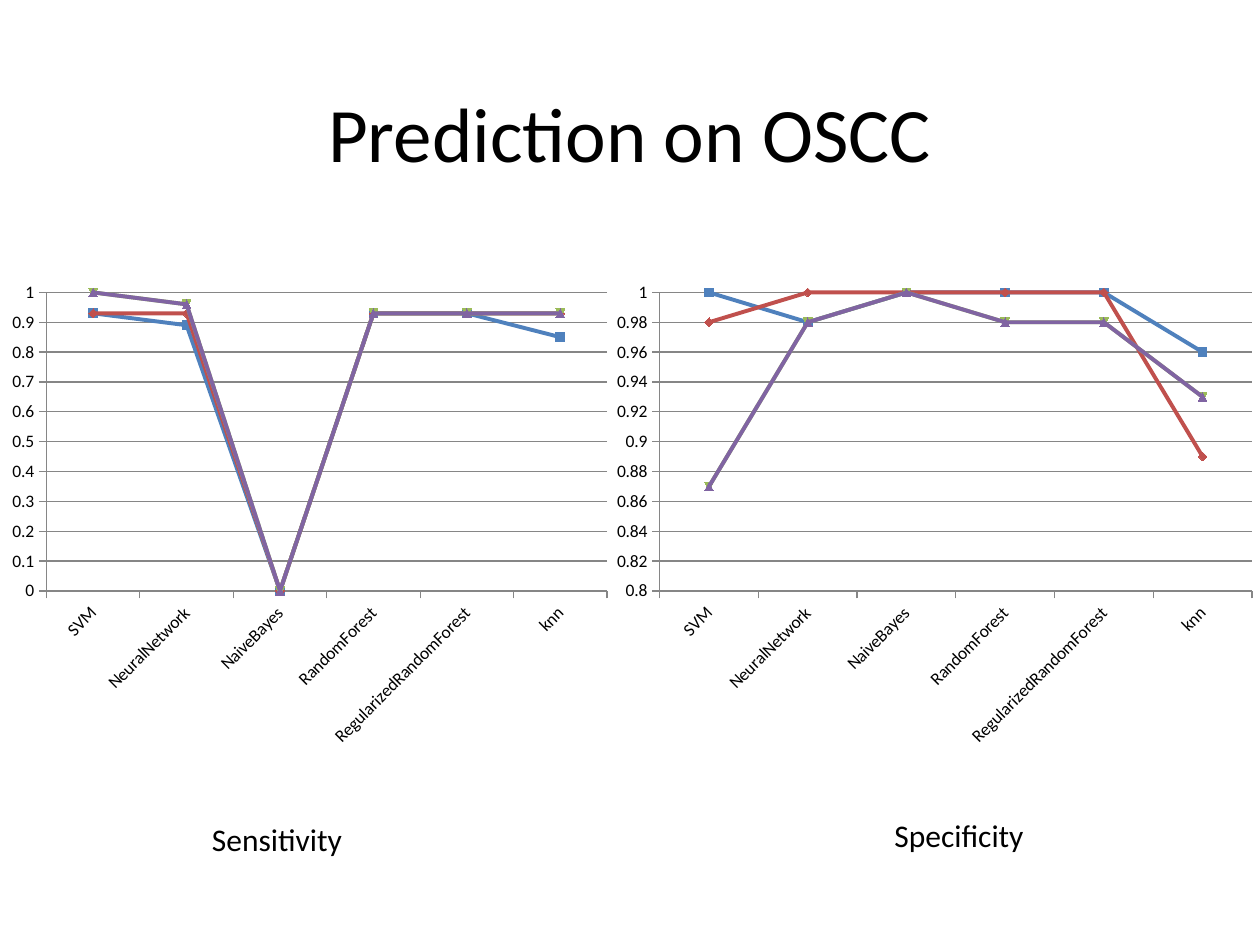
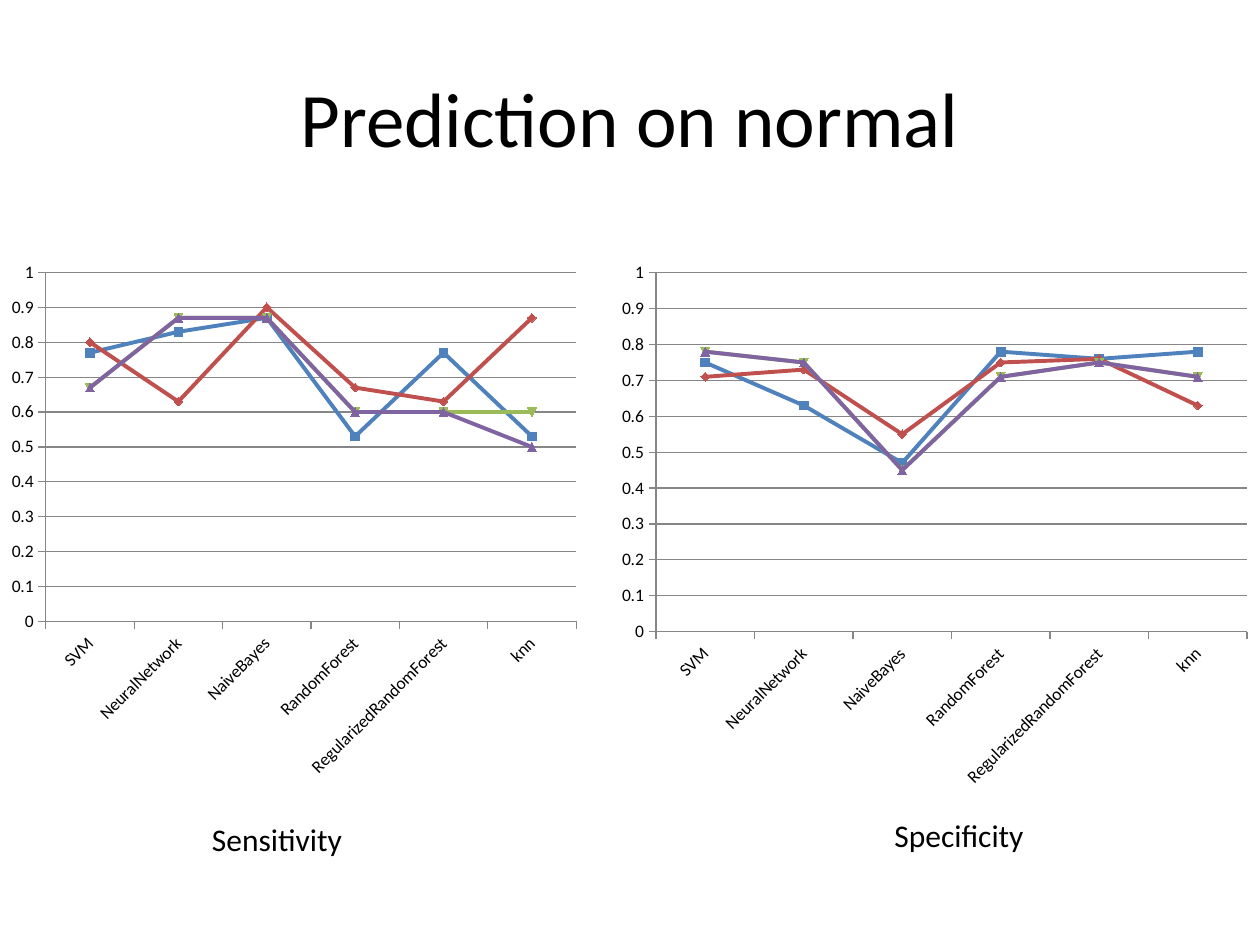
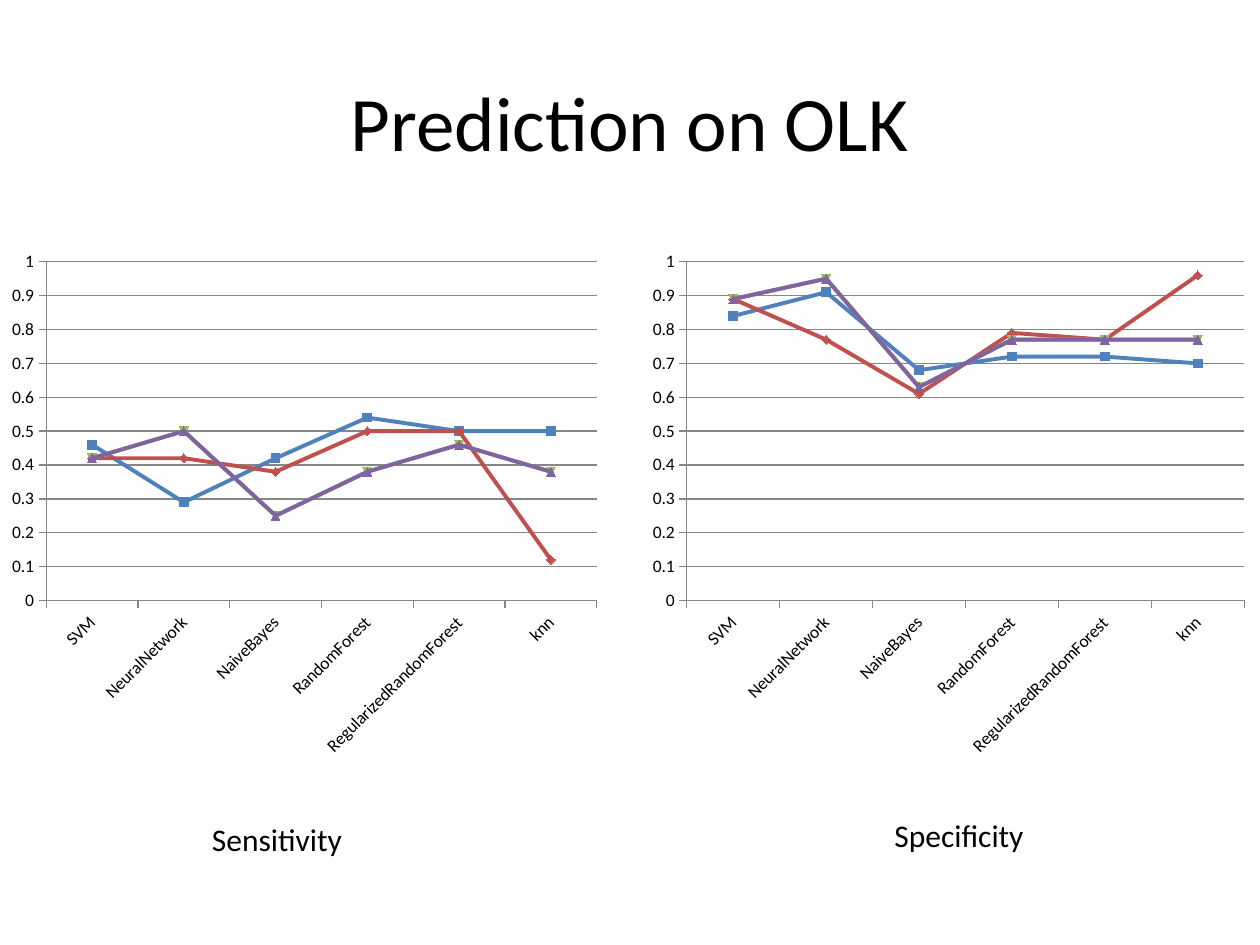
from pptx import Presentation
from pptx.chart.data import CategoryChartData
from pptx.dml.color import RGBColor
from pptx.enum.chart import XL_CHART_TYPE, XL_TICK_MARK
from pptx.enum.text import MSO_ANCHOR, MSO_AUTO_SIZE, PP_ALIGN
from pptx.util import Pt

# Shared style
FACE = "Calibri"
INK = "000000"
GRID = "868686"
HUES = ["4F81BD", "C0504D", "9BBB59", "8064A2"]
MODELS = ["SVM", "NeuralNetwork", "NaiveBayes", "RandomForest",
          "RegularizedRandomForest", "knn"]
LABELS = [("Sensitivity", (114, 465, 90, 29)),
          ("Specificity", (504, 463, 90, 29))]

# Per slide: title, title top, then (box, axis floor, axis step, rows) per chart
SLIDES = [
    ("Prediction on OSCC", 30, [
        ((0, 156, 354, 276), 0, 0.1, [
            [0.93, 0.89, 0, 0.93, 0.93, 0.85],
            [0.93, 0.93, 0, 0.93, 0.93, 0.93],
            [1, 0.96, 0, 0.93, 0.93, 0.93],
            [1, 0.96, 0, 0.93, 0.93, 0.93]]),
        ((345, 156, 378, 276), 0.8, 0.02, [
            [1, 0.98, 1, 1, 1, 0.96],
            [0.98, 1, 1, 1, 1, 0.89],
            [0.87, 0.98, 1, 0.98, 0.98, 0.93],
            [0.87, 0.98, 1, 0.98, 0.98, 0.93]])]),
    ("Prediction on normal", 21.5, [
        ((0, 144, 336, 306), 0, 0.1, [
            [0.77, 0.83, 0.87, 0.53, 0.77, 0.53],
            [0.8, 0.63, 0.9, 0.67, 0.63, 0.87],
            [0.67, 0.87, 0.87, 0.6, 0.6, 0.6],
            [0.67, 0.87, 0.87, 0.6, 0.6, 0.5]]),
        ((348, 144, 372, 312), 0, 0.1, [
            [0.75, 0.63, 0.47, 0.78, 0.76, 0.78],
            [0.71, 0.73, 0.55, 0.75, 0.76, 0.63],
            [0.78, 0.75, 0.45, 0.71, 0.75, 0.71],
            [0.78, 0.75, 0.45, 0.71, 0.75, 0.71]])]),
    ("Prediction on OLK", 24, [
        ((0, 138, 348, 300), 0, 0.1, [
            [0.46, 0.29, 0.42, 0.54, 0.5, 0.5],
            [0.42, 0.42, 0.38, 0.5, 0.5, 0.12],
            [0.42, 0.5, 0.25, 0.38, 0.46, 0.38],
            [0.42, 0.5, 0.25, 0.38, 0.46, 0.38]]),
        ((366, 138, 352, 300), 0, 0.1, [
            [0.84, 0.91, 0.68, 0.72, 0.72, 0.7],
            [0.89, 0.77, 0.61, 0.79, 0.77, 0.96],
            [0.89, 0.95, 0.63, 0.77, 0.77, 0.77],
            [0.89, 0.95, 0.63, 0.77, 0.77, 0.77]])]),
]


def color(code):
    return RGBColor.from_string(code)


def style(font, size):
    font.name, font.size = FACE, Pt(size)
    font.color.rgb = color(INK)


def write(frame, text, size=18, align=PP_ALIGN.LEFT, anchor=MSO_ANCHOR.TOP,
          wrap=True, fit=MSO_AUTO_SIZE.NONE):
    frame.word_wrap, frame.auto_size = wrap, fit
    frame.vertical_anchor = anchor
    para = frame.paragraphs[0]
    para.alignment = align
    run = para.add_run()
    run.text = text
    style(run.font, size)


def add_title(slide, text, top):
    title = slide.shapes.title
    title.left, title.top, title.width, title.height = map(
        Pt, (36, top, 648, 90))
    write(title.text_frame, text, size=44, align=PP_ALIGN.CENTER,
          anchor=MSO_ANCHOR.MIDDLE)


def add_label(slide, text, box):
    shape = slide.shapes.add_textbox(*map(Pt, box))
    write(shape.text_frame, text, wrap=False,
          fit=MSO_AUTO_SIZE.SHAPE_TO_FIT_TEXT)


def set_line(line, hue, width):
    line.color.rgb = color(hue)
    line.width = Pt(width)


def add_lines(slide, box, floor, step, rows):
    data = CategoryChartData()
    data.categories = MODELS
    for num, row in enumerate(rows, 1):
        data.add_series(f"Series {num}", row)
    chart = slide.shapes.add_chart(
        XL_CHART_TYPE.LINE_MARKERS, *map(Pt, box), data).chart
    chart.has_legend = chart.has_title = False
    style(chart.font, 10)

    # Axes
    names, scale = chart.category_axis, chart.value_axis
    for axis in (names, scale):
        axis.major_tick_mark = XL_TICK_MARK.OUTSIDE
        axis.minor_tick_mark = XL_TICK_MARK.NONE
        style(axis.tick_labels.font, 10)
        set_line(axis.format.line, GRID, 0.75)
    names.has_major_gridlines = False
    names._element.get_or_add_txPr().bodyPr.set("rot", "-2700000")
    scale.minimum_scale, scale.maximum_scale = floor, 1
    scale.major_unit = step
    scale.has_major_gridlines = True
    set_line(scale.major_gridlines.format.line, GRID, 0.75)
    scale.tick_labels.number_format = "General"
    scale.tick_labels.number_format_is_linked = False

    # Series
    plot = chart.plots[0]
    plot.vary_by_categories = False
    for series, hue in zip(plot.series, HUES):
        series.smooth = False
        set_line(series.format.line, hue, 2.25)
        mark = series.marker
        mark.size = 5
        mark.format.fill.solid()
        mark.format.fill.fore_color.rgb = color(hue)
        set_line(mark.format.line, hue, 0.75)


def main():
    deck = Presentation()
    deck.slide_width, deck.slide_height = Pt(720), Pt(540)
    for title, top, charts in SLIDES:
        slide = deck.slides.add_slide(deck.slide_layouts[5])
        add_title(slide, title, top)
        for chart in charts:
            add_lines(slide, *chart)
        for label in LABELS:
            add_label(slide, *label)
    deck.save("out.pptx")


if __name__ == "__main__":
    main()
